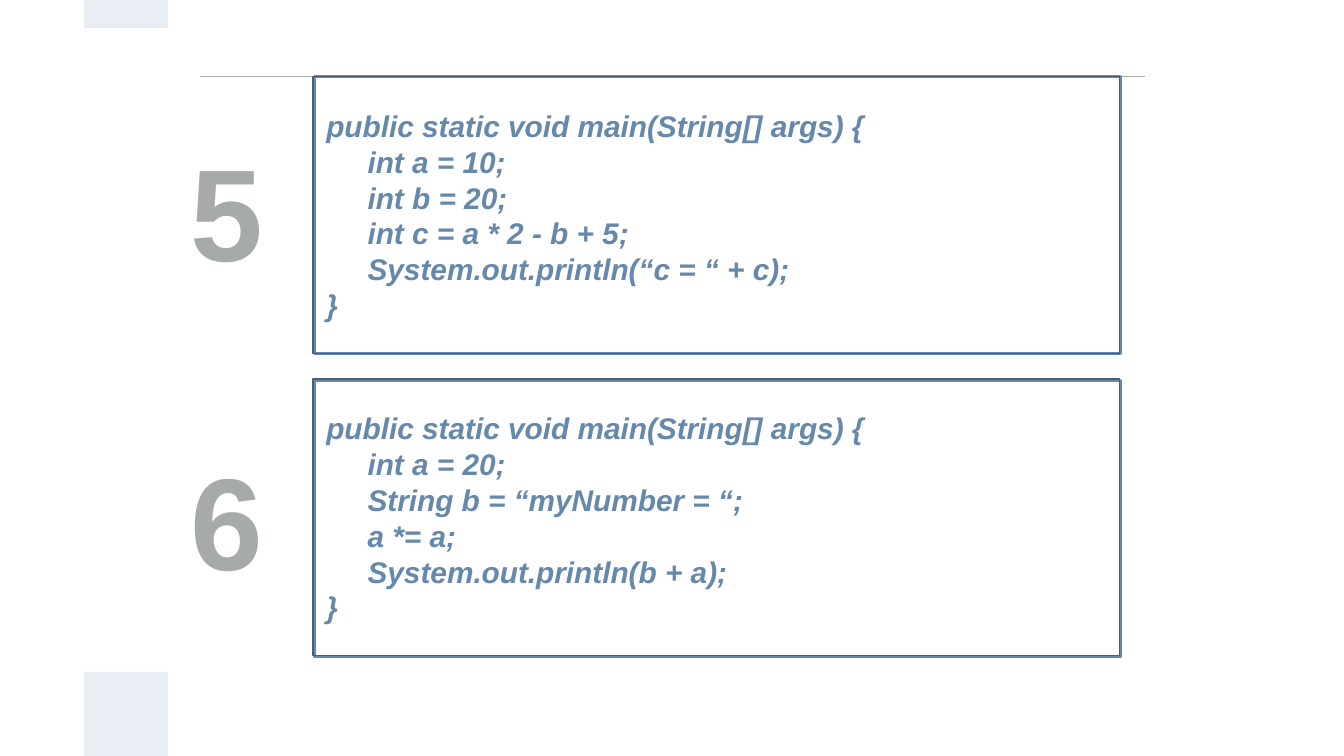
from dataclasses import dataclass

from lxml.etree import SubElement
from pptx import Presentation
from pptx.dml.color import RGBColor as RGB
from pptx.enum.shapes import MSO_CONNECTOR as CONN, MSO_SHAPE as SHAPE
from pptx.enum.text import MSO_ANCHOR as ANCHOR, PP_ALIGN as ALIGN
from pptx.oxml.ns import qn
from pptx.util import Inches, Pt


@dataclass(frozen=True)
class Theme:
    font: str = "Arial"
    band: RGB = RGB(0xE9, 0xED, 0xF4)
    grey: RGB = RGB(0xA6, 0xAA, 0xA9)
    blue: RGB = RGB(0x65, 0x88, 0xAB)
    slate: RGB = RGB(0x4C, 0x5D, 0x6E)
    code_size: int = 16
    number_size: int = 70
    thin: float = 0.75
    thick: float = 1.5


class Deck:
    def __init__(self, slide, theme):
        self.s = slide
        self.theme = theme

    def rule(self, x1, y1, x2, y2):
        line = self.s.shapes.add_connector(
            CONN.STRAIGHT, Inches(x1), Inches(y1), Inches(x2), Inches(y2))
        line.line.color.rgb = self.theme.grey
        line.line.width = Pt(self.theme.thin)
        SubElement(line._element.spPr, qn("a:effectLst"))

    def rect(self, x, y, w, h, fill=None, line=None, width=0):
        sp = self.s.shapes.add_shape(
            SHAPE.RECTANGLE, Inches(x), Inches(y), Inches(w), Inches(h))
        sp.shadow.inherit = False
        if fill:
            sp.fill.solid()
            sp.fill.fore_color.rgb = fill
        else:
            sp.fill.background()
        if line:
            sp.line.color.rgb = line
            sp.line.width = Pt(width)
        else:
            sp.line.fill.background()
        return sp

    def text(self, sp, lines, size, color, align, italic=False):
        tf = sp.text_frame
        margin = Inches(0.1)
        frame = dict(word_wrap=True, vertical_anchor=ANCHOR.MIDDLE,
                     margin_left=margin, margin_right=margin,
                     margin_top=margin, margin_bottom=margin)
        for name, value in frame.items():
            setattr(tf, name, value)
        style = dict(name=self.theme.font, size=Pt(size), bold=True, italic=italic)
        for i, line in enumerate(lines):
            p = tf.paragraphs[0] if i == 0 else tf.add_paragraph()
            p.alignment = align
            r = p.add_run()
            r.text = line
            for name, value in style.items():
                setattr(r.font, name, value)
            r.font.color.rgb = color

    def code_box(self, back_y, front_y, w, h, lines):
        t = self.theme
        self.rect(2.34, back_y, w, h, line=t.blue, width=t.thick)
        sp = self.rect(2.33, front_y, w, h, line=t.slate, width=t.thin)
        self.text(sp, lines, t.code_size, t.blue, ALIGN.LEFT, italic=True)

    def number(self, y, h, label):
        t = self.theme
        sp = self.s.shapes.add_textbox(Inches(1.19), Inches(y), Inches(0.99), Inches(h))
        self.text(sp, [label], t.number_size, t.grey, ALIGN.CENTER)


EXERCISES = [
    ("5", 0.57, 0.57, 0.53, [
        "int a = 10;",
        "int b = 20;",
        "int c = a * 2 - b + 5;",
        "System.out.println(“c = “ + c);",
    ]),
    ("6", 2.83, 2.82, 2.83, [
        "int a = 20;",
        "String b = “myNumber = “;",
        "a *= a;",
        "System.out.println(b + a);",
    ]),
]


def main():
    width = 10
    height = width * 9 / 16
    prs = Presentation()
    prs.slide_width, prs.slide_height = Inches(width), Inches(height)
    theme = Theme()
    deck = Deck(prs.slides.add_slide(prs.slide_layouts[6]), theme)

    deck.rule(1.49, 0.57, 8.52, 0.57)
    band = width / 16
    for y, h in ((height - band, band), (0, band / 3)):
        deck.rect(band, y, band, h, fill=theme.band)

    box_w, box_h = 6, 2.06
    for label, back_y, front_y, number_y, body in EXERCISES:
        code = ["public static void main(String[] args) {",
                *("     " + line for line in body), "}"]
        deck.code_box(back_y, front_y, box_w, box_h, code)
        deck.number(number_y, box_h, label)

    prs.save("out.pptx")


if __name__ == "__main__":
    main()
